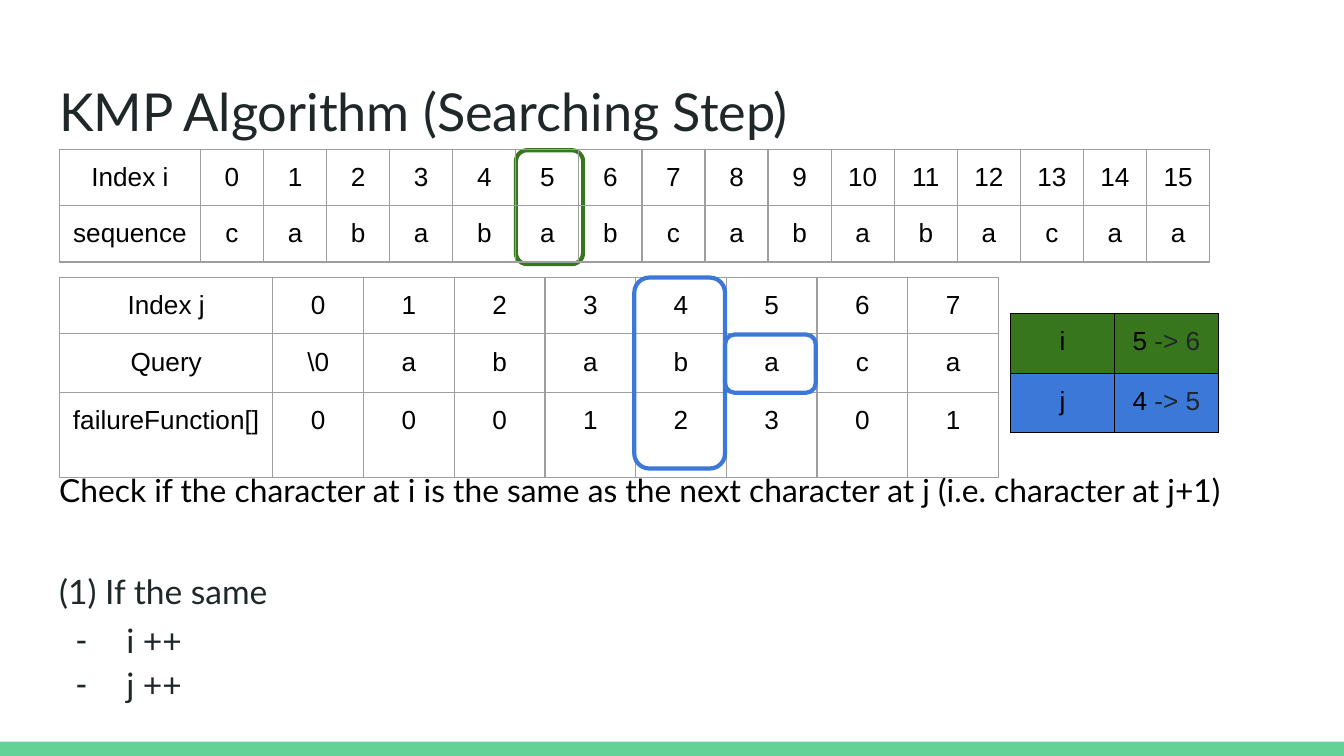
from lxml import etree
from pptx import Presentation
from pptx.dml.color import RGBColor
from pptx.enum.shapes import MSO_SHAPE
from pptx.enum.text import MSO_ANCHOR, MSO_AUTO_SIZE, PP_ALIGN
from pptx.oxml.ns import qn
from pptx.util import Pt

RECT, ROUNDED = MSO_SHAPE.RECTANGLE, MSO_SHAPE.ROUNDED_RECTANGLE
TOP = MSO_ANCHOR.TOP
NO_AUTOFIT = MSO_AUTO_SIZE.NONE
LEFT, CENTER = PP_ALIGN.LEFT, PP_ALIGN.CENTER

BLACK, INK, GRAY = "000000", "202729", "9E9E9E"
GREEN, BLUE, MINT = "38761D", "3C78D8", "63D297"
INSET = 7.2


def color(hex_code):
    return RGBColor.from_string(hex_code)


def set_font(font, name, size, hex_code):
    font.name = name
    font.size = Pt(size)
    font.color.rgb = color(hex_code)


def place(holder, box):
    holder.left, holder.top, holder.width, holder.height = map(Pt, box)
    frame = holder.text_frame
    frame.auto_size = NO_AUTOFIT
    frame.word_wrap = True
    frame.vertical_anchor = TOP
    frame.margin_left = frame.margin_right = Pt(INSET)
    frame.margin_top = frame.margin_bottom = Pt(INSET)
    return frame


def add_title(slide, box, wording):
    frame = place(slide.shapes.title, box)
    frame.text = wording
    heading = frame.paragraphs[0]
    heading.alignment = LEFT
    set_font(heading.font, "Lato", 28, INK)


def set_bullet(paragraph, bullet):
    props = paragraph._p.get_or_add_pPr()
    props.set("marL", str(Pt(36 if bullet else 0)))
    props.set("indent", str(Pt(-27 if bullet else 0)))
    if bullet:
        bullet_color = etree.SubElement(props, qn("a:buClr"))
        etree.SubElement(bullet_color, qn("a:srgbClr")).set("val", INK)
        etree.SubElement(props, qn("a:buChar")).set("char", bullet)
    else:
        etree.SubElement(props, qn("a:buNone"))


def add_steps(slide, box, steps):
    frame = place(slide.placeholders[1], box)
    for number, (wording, size, ink, gap, bullet) in enumerate(steps):
        step = frame.add_paragraph() if number else frame.paragraphs[0]
        step.text = wording
        step.alignment = LEFT
        step.line_spacing = 1.0
        step.space_before = Pt(gap)
        step.space_after = Pt(0)
        set_bullet(step, bullet)
        set_font(step.font, "Lato", size, ink)


def set_borders(cell, hex_code):
    props = cell._tc.get_or_add_tcPr()
    for number, side in enumerate(("a:lnL", "a:lnR", "a:lnT", "a:lnB")):
        line = etree.Element(qn(side), w=str(Pt(0.75)))
        fill = etree.SubElement(line, qn("a:solidFill"))
        etree.SubElement(fill, qn("a:srgbClr")).set("val", hex_code)
        props.insert(number, line)


def add_grid(slide, left, top, widths, heights, rows, border, fills=None):
    frame = slide.shapes.add_table(len(heights), len(widths), Pt(left), Pt(top),
                                   Pt(sum(widths)), Pt(sum(heights)))
    grid = frame.table
    grid.first_row = grid.horz_banding = False
    for column, width in zip(grid.columns, widths):
        column.width = Pt(width)
    for r, (height, row) in enumerate(zip(heights, rows)):
        grid.rows[r].height = Pt(height)
        for c, wording in enumerate(row):
            cell = grid.cell(r, c)
            cell.margin_left = cell.margin_right = Pt(INSET)
            cell.margin_top = cell.margin_bottom = Pt(INSET)
            if fills:
                cell.fill.solid()
                cell.fill.fore_color.rgb = color(fills[r])
            else:
                cell.fill.background()
            set_borders(cell, border)
            entry = cell.text_frame.paragraphs[0]
            entry.alignment = CENTER
            before, arrow, after = wording.partition("->")
            entry.add_run().text = before
            set_font(entry.font, "Arial", 14, BLACK)
            if arrow:
                change = entry.add_run()
                change.text = arrow + after
                change.font.color.rgb = color(INK)


def add_highlight(slide, box, hex_code):
    outline = slide.shapes.add_shape(ROUNDED, *map(Pt, box))
    outline.shadow.inherit = False
    outline.fill.background()
    outline.line.color.rgb = color(hex_code)
    outline.line.width = Pt(2.25)


def add_footer_bar(slide, box):
    bar = slide.shapes.add_shape(RECT, *map(Pt, box))
    bar.shadow.inherit = False
    bar.fill.solid()
    bar.fill.fore_color.rgb = color(MINT)
    bar.line.fill.background()


def add_query(slide, left, top):
    label, step = 114.3, 48.6
    heights = [30, 31.3, 45.6]
    rows = [["Index j", *map(str, range(8))],
            ["Query", "\\0", *"abababca"[:0], *"ababaca"],
            ["failureFunction[]", *"00012301"]]
    add_grid(slide, left, top, [label] + [step] * 8, heights, rows, GRAY)
    current = left + label + 4 * step
    add_highlight(slide, (current - 0.8, top, step, 102.3), BLUE)
    add_highlight(slide, (current + step - 0.8, top + 30.5, step, 31.2), BLUE)


def add_sequence(slide, left, top):
    label, step = 75.5, 33.8
    rows = [["Index i", *map(str, range(16))],
            ["sequence", *"cababab"[:0], *"cababab", *"cabab", *"acaa"]]
    add_highlight(slide, (left + label + 5 * step, top + 0.5, 36, 61), GREEN)
    add_grid(slide, left, top, [label] + [step] * 16, [30.1] * 2, rows, GRAY)


def add_pointers(slide, left, top):
    rows = [["i", "5 -> 6"], ["j", "4 -> 5"]]
    add_grid(slide, left, top, [55.7] * 2, [31.9] * 2, rows, BLACK, [GREEN, BLUE])


def main():
    deck = Presentation()
    deck.slide_width, deck.slide_height = Pt(720), Pt(405)
    slide = deck.slides.add_slide(deck.slide_layouts[1])
    add_footer_bar(slide, (0, 397.4, 720, 7.6))
    add_title(slide, (24.5, 35.3, 671, 45), "KMP Algorithm (Searching Step)")
    check = ("Check if the character at i is the same as the next character at j "
             "(i.e. character at j+1)")
    add_steps(slide, (24.5, 245, 671, 140), [
        (check, 17, BLACK, 0, None),
        ("(1) If the same", 18, INK, 33.4, None),
        ("i ++", 18, INK, 4.6, "-"),
        ("j ++", 18, INK, 2, "-"),
    ])
    add_query(slide, 31.9, 148.7)
    add_pointers(slide, 541.4, 168)
    add_sequence(slide, 31.9, 80)
    deck.save("out.pptx")


if __name__ == "__main__":
    main()
